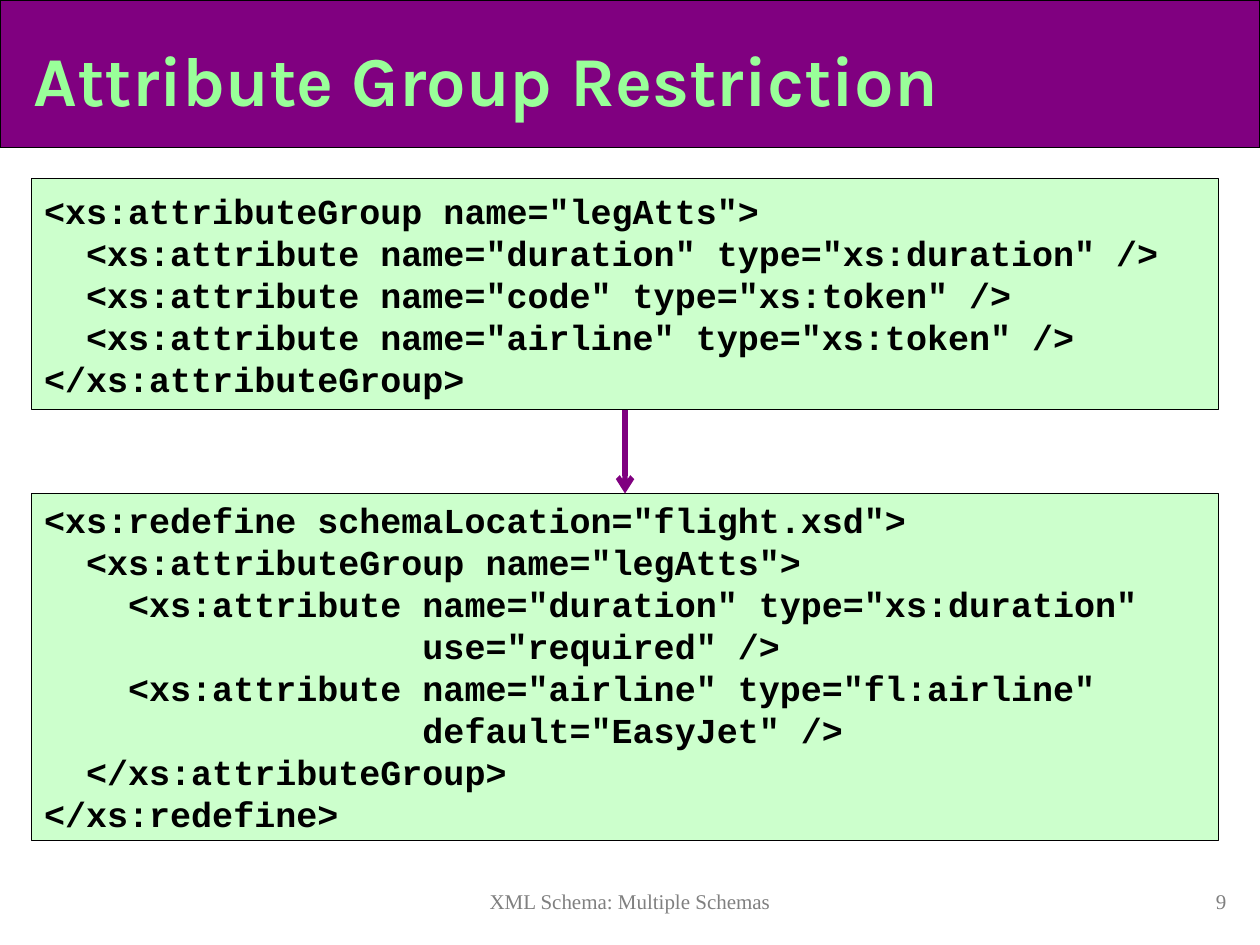
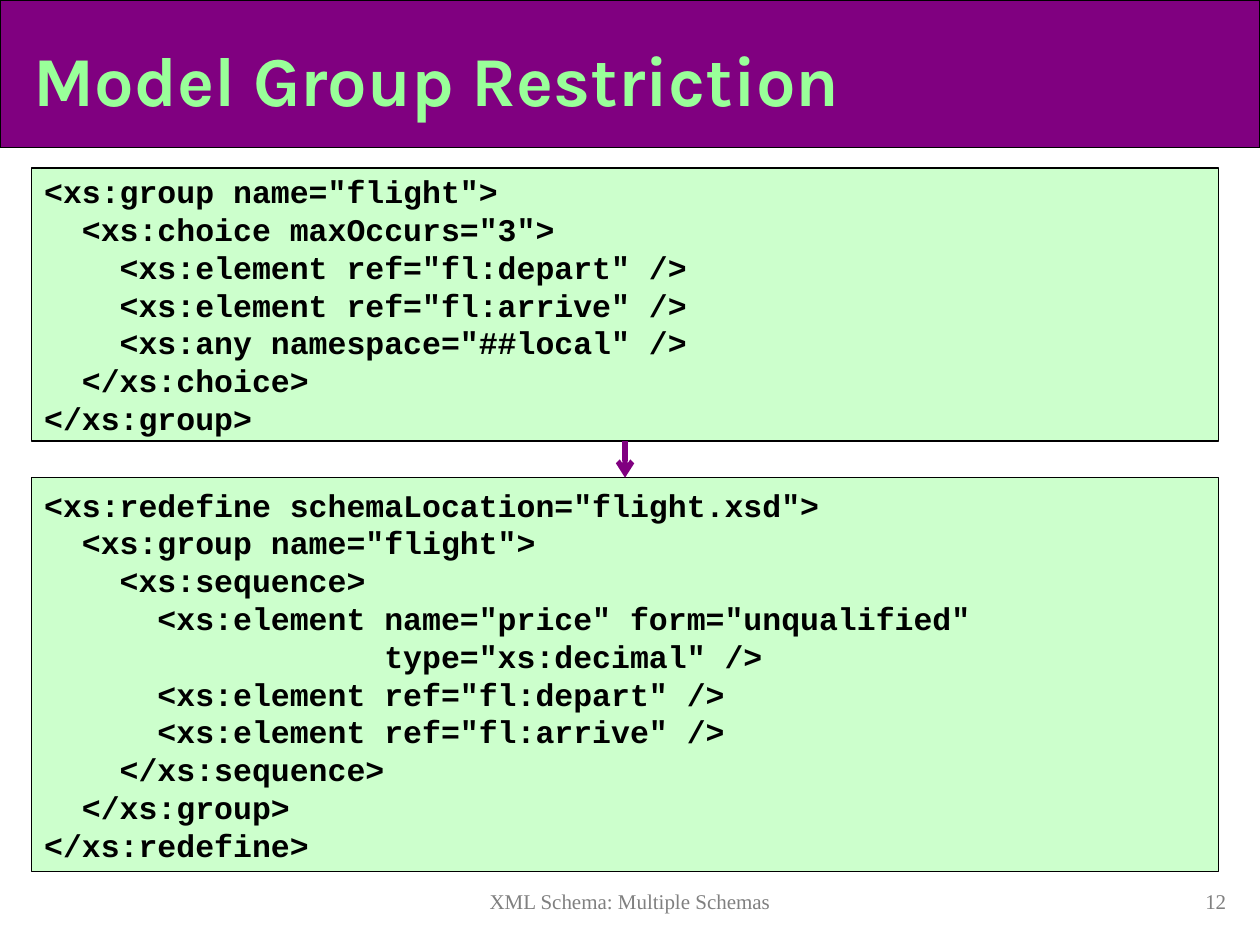
from lxml.etree import SubElement
from pptx import Presentation
from pptx.dml.color import RGBColor
from pptx.enum.shapes import MSO_CONNECTOR, MSO_SHAPE
from pptx.enum.text import MSO_ANCHOR, PP_ALIGN
from pptx.oxml.ns import qn
from pptx.util import Cm, Pt

COLORS = {
    "purple": "800080",
    "title": "99FF99",
    "code_fill": "CCFFCC",
    "black": "000000",
    "footer": "808080",
}
SLIDE_W, SLIDE_H = 25.4, 19.05
BAND_H = 2.97
CODE_LEFT, CODE_W = 0.64, 23.92
FOOTER_TEXT = "XML Schema: Multiple Schemas"

# Each code box: top and height in cm, then the code
SLIDES = [
    {
        "title": "Attribute Group Restriction",
        "number": 9,
        "size": 20,
        "boxes": [
            (3.6, 4.66, """\
<xs:attributeGroup name="legAtts">
  <xs:attribute name="duration" type="xs:duration" />
  <xs:attribute name="code" type="xs:token" />
  <xs:attribute name="airline" type="xs:token" />
</xs:attributeGroup>"""),
            (9.95, 6.99, """\
<xs:redefine schemaLocation="flight.xsd">
  <xs:attributeGroup name="legAtts">
    <xs:attribute name="duration" type="xs:duration"
                  use="required" />
    <xs:attribute name="airline" type="fl:airline"
                  default="EasyJet" />
  </xs:attributeGroup>
</xs:redefine>"""),
        ],
    },
    {
        "title": "Model Group Restriction",
        "number": 12,
        "size": 18,
        "boxes": [
            (3.39, 5.5, """\
<xs:group name="flight">
  <xs:choice maxOccurs="3">
    <xs:element ref="fl:depart" />
    <xs:element ref="fl:arrive" />
    <xs:any namespace="##local" />
  </xs:choice>
</xs:group>"""),
            (9.63, 7.94, """\
<xs:redefine schemaLocation="flight.xsd">
  <xs:group name="flight">
    <xs:sequence>
      <xs:element name="price" form="unqualified"
                  type="xs:decimal" />
      <xs:element ref="fl:depart" />
      <xs:element ref="fl:arrive" />
    </xs:sequence>
  </xs:group>
</xs:redefine>"""),
        ],
    },
]


def rgb(name):
    return RGBColor.from_string(COLORS[name])


def add_text(tf, text, font, size, color, bold=False, align=PP_ALIGN.LEFT,
             anchor=MSO_ANCHOR.TOP):
    """Write one paragraph per line of text, all in one style."""
    tf.word_wrap = True
    tf.vertical_anchor = anchor
    for i, line in enumerate(text.split("\n")):
        p = tf.paragraphs[0] if i == 0 else tf.add_paragraph()
        p.text = line
        p.alignment = align
        p.font.name = font
        p.font.size = Pt(size)
        p.font.bold = bold
        p.font.color.rgb = rgb(color)


def add_box(s, left, top, width, height, fill):
    sp = s.shapes.add_shape(MSO_SHAPE.RECTANGLE, Cm(left), Cm(top), Cm(width), Cm(height))
    sp.shadow.inherit = False
    sp.fill.solid()
    sp.fill.fore_color.rgb = rgb(fill)
    sp.line.color.rgb = rgb("black")
    sp.line.width = Pt(0.75)
    return sp


def add_header(s, text):
    # The band goes behind the title placeholder
    band = add_box(s, 0, 0, SLIDE_W, BAND_H, "purple")
    title = s.shapes.title
    title._element.addprevious(band._element)
    title.left, title.top = Cm(0.42), Cm(0.42)
    title.width, title.height = Cm(24.34), Cm(2.33)
    add_text(title.text_frame, text, "Karla", 40, "title", bold=True,
             anchor=MSO_ANCHOR.MIDDLE)


def add_code(s, top, height, code, size):
    sp = add_box(s, CODE_LEFT, top, CODE_W, height, "code_fill")
    add_text(sp.text_frame, code, "Courier New", size, "black", bold=True,
             anchor=MSO_ANCHOR.MIDDLE)
    return sp


def add_arrow(s, upper, lower):
    """Join the bottom of the upper box to the top of the lower one."""
    x = upper.left + upper.width // 2
    arrow = s.shapes.add_connector(MSO_CONNECTOR.STRAIGHT, x, upper.top + upper.height,
                                   x, lower.top)
    arrow.line.color.rgb = rgb("purple")
    arrow.line.width = Pt(3)
    SubElement(arrow.line._get_or_add_ln(), qn("a:tailEnd"), type="arrow")
    SubElement(arrow._element.spPr, qn("a:effectLst"))


def add_footer(s, number):
    for left, width, text, align in [
        (6.14, 13.12, FOOTER_TEXT, PP_ALIGN.CENTER),
        (19.68, 5.29, str(number), PP_ALIGN.RIGHT),
    ]:
        sp = s.shapes.add_textbox(Cm(left), Cm(17.78), Cm(width), Cm(0.85))
        add_text(sp.text_frame, text, "Times New Roman", 12, "footer", align=align)


def add_code_slide(prs, content):
    s = prs.slides.add_slide(prs.slide_layouts[5])
    add_header(s, content["title"])
    upper, lower = [add_code(s, *box, content["size"]) for box in content["boxes"]]
    add_arrow(s, upper, lower)
    add_footer(s, content["number"])


def main():
    prs = Presentation()
    prs.slide_width, prs.slide_height = Cm(SLIDE_W), Cm(SLIDE_H)
    for content in SLIDES:
        add_code_slide(prs, content)
    prs.save("out.pptx")


if __name__ == "__main__":
    main()
